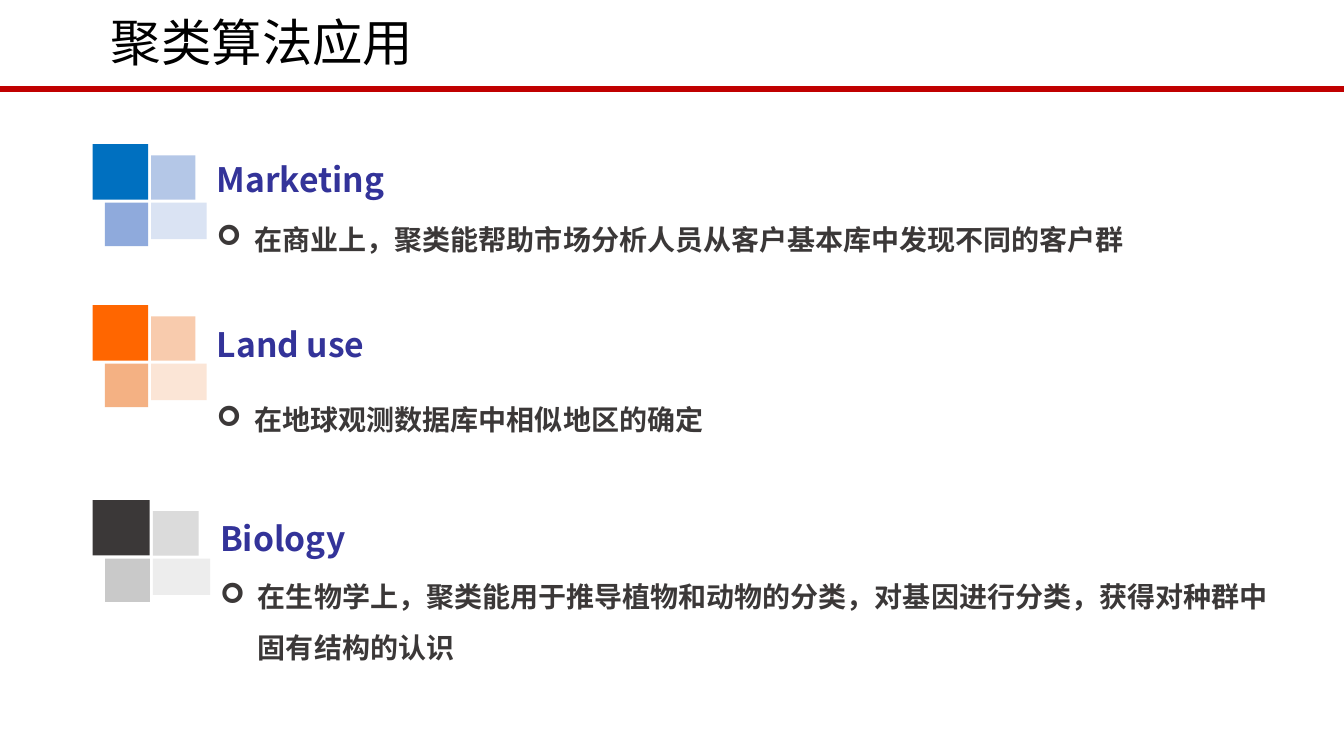
import dataclasses
import lxml.etree
import pptx
import pptx.dml.color
import pptx.enum.shapes
import pptx.enum.text
import pptx.oxml.ns
import pptx.util

Pt = pptx.util.Pt
qn = pptx.oxml.ns.qn


@dataclasses.dataclass(frozen=True)
class Theme:
    font: str = "Noto Sans CJK SC"
    black: str = "000000"
    rule: str = "C00000"
    head: str = "333399"
    body: str = "3B3838"
    blue: tuple = ("0070C0", "B4C7E7", "8FAADC", "DAE3F3")
    orange: tuple = ("FF6600", "F8CBAD", "F4B183", "FBE5D6")
    gray: tuple = ("3B3838", "DBDBDB", "C9C9C9", "EDEDED")
    title_size: int = 36
    head_size: int = 24
    body_size: int = 20


THEME = Theme()
WIDTH, HEIGHT = 960, 540
TILES = ((0, 0, 39.6, 39.6), (41.8, 8, 31.7, 31.7),
         (8.7, 41.8, 31, 31), (41.8, 41.8, 39.6, 26))
INDENT = 27


def color(code):
    return pptx.dml.color.RGBColor.from_string(code)


def place(shape, box):
    shape.left, shape.top, shape.width, shape.height = map(Pt, box)


def write(shape, text, size, tint, bold=False, space=1.5, bullet=None):
    frame = shape.text_frame
    frame.word_wrap = True
    frame.auto_size = pptx.enum.text.MSO_AUTO_SIZE.NONE
    frame.vertical_anchor = pptx.enum.text.MSO_ANCHOR.MIDDLE
    para = frame.paragraphs[0]
    para.alignment = pptx.enum.text.PP_ALIGN.LEFT
    para.line_spacing = space
    run = para.add_run()
    run.text = text
    font = run.font
    font.size, font.bold, font.name = Pt(size), bold, THEME.font
    font.color.rgb = color(tint)
    east = lxml.etree.SubElement(run._r.get_or_add_rPr(), qn("a:ea"))
    east.set("typeface", THEME.font)
    if bullet:
        props = para._p.get_or_add_pPr()
        props.set("marL", str(Pt(INDENT)))
        props.set("indent", str(-Pt(INDENT)))
        face = lxml.etree.SubElement(props, qn("a:buFont"))
        face.set("typeface", "Wingdings")
        mark = lxml.etree.SubElement(props, qn("a:buChar"))
        mark.set("char", bullet)


def header(slide, text, box):
    left, top, width, height = box
    line = slide.shapes.add_connector(
        pptx.enum.shapes.MSO_CONNECTOR.STRAIGHT,
        Pt(left), Pt(top + height), Pt(left + width), Pt(top + height))
    line.line.color.rgb = color(THEME.rule)
    line.line.width = Pt(4.5)
    lxml.etree.SubElement(line._element.spPr, qn("a:effectLst"))
    title = slide.shapes.title
    place(title, (left + 72, top + 8, 564.5, 49))
    write(title, text, THEME.title_size, THEME.black, space=0.9)


def tiles(group, box, tints, scale):
    left, top = box[:2]
    for (x, y, width, height), tint in zip(TILES, tints):
        tile = group.shapes.add_shape(
            pptx.enum.shapes.MSO_SHAPE.RECTANGLE,
            Pt(left + x * scale), Pt(top + y), Pt(width * scale), Pt(height))
        tile.shadow.inherit = False
        tile.fill.solid()
        tile.fill.fore_color.rgb = color(tint)
        tile.line.fill.background()


def section(slide, box, head, body, tints, rise, drop, tall=40, scale=1):
    left, top, width, height = box
    group = slide.shapes.add_group_shape()
    tiles(group, box, tints, scale)
    inset = 81.5 * scale
    label = group.shapes.add_textbox(
        Pt(left + inset), Pt(top - rise), Pt(530), Pt(46))
    write(label, head, THEME.head_size, THEME.head, bold=True)
    note = group.shapes.add_textbox(
        Pt(left + inset), Pt(top + drop), Pt(width - inset), Pt(tall))
    write(note, body, THEME.body_size, THEME.body, bold=True, bullet="➢")


def main():
    deck = pptx.Presentation()
    deck.slide_width, deck.slide_height = Pt(WIDTH), Pt(HEIGHT)
    slide = deck.slides.add_slide(deck.slide_layouts[5])
    header(slide, "聚类算法应用", (0, 0, WIDTH, 63.5))
    section(slide, (66.2, 103, 827.5, 82), "Marketing",
            "在商业上，聚类能帮助市场分析人员从客户基本库中发现不同的客户群",
            THEME.blue, rise=5, drop=41.8)
    section(slide, (66.2, 218, 827.5, 96), "Land use",
            "在地球观测数据库中相似地区的确定",
            THEME.orange, rise=2.7, drop=55.6)
    section(slide, (66.2, 357.2, 853, 121), "Biology",
            "在生物学上，聚类能用于推导植物和动物的分类，对基因进行分类，获得对种群中固有结构的认识",
            THEME.gray, rise=3, drop=41, tall=80, scale=1.03)
    deck.save("out.pptx")


if __name__ == "__main__":
    main()
